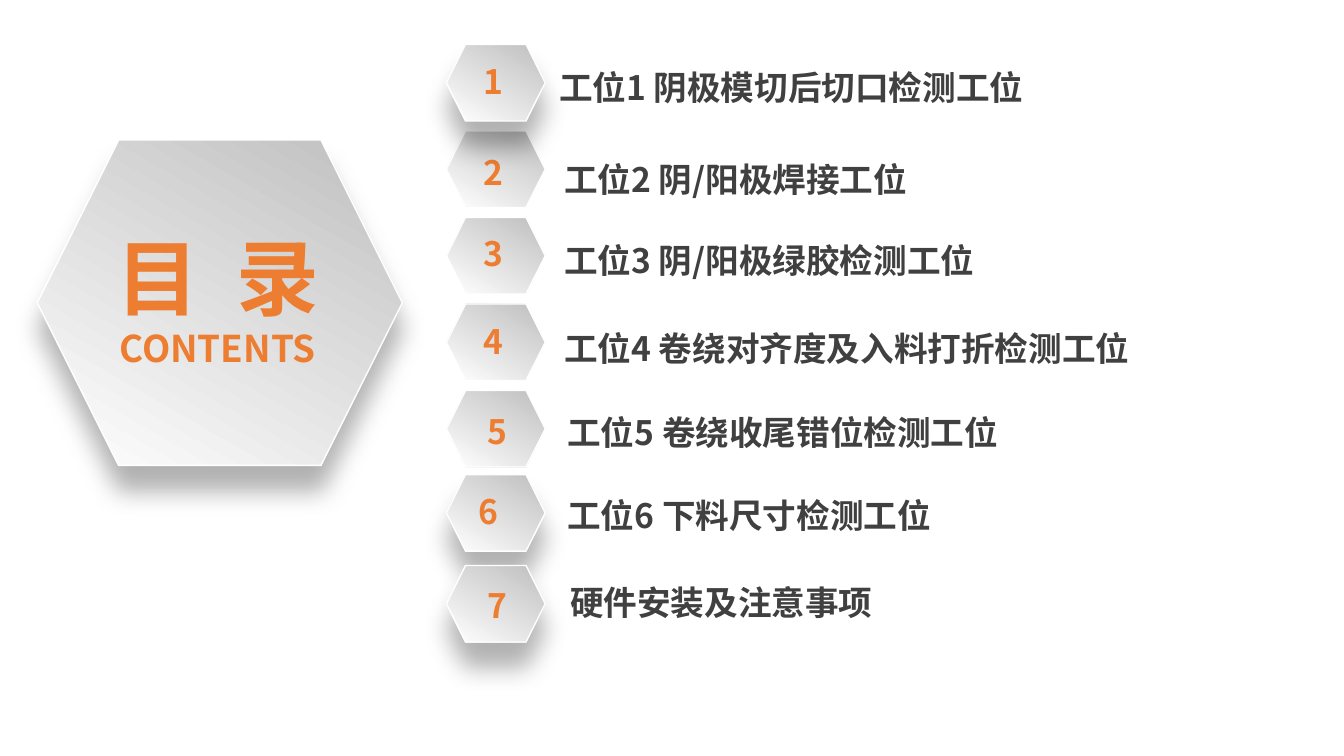
"""Build the contents slide with its seven numbered entries."""
import dataclasses

import lxml.etree
import pptx
import pptx.dml.color
import pptx.enum.shapes
import pptx.enum.text
import pptx.oxml.ns
import pptx.util

Cm = pptx.util.Cm
FONT = "Noto Sans CJK SC"
HUES = {"grey": "BFBFBF", "white": "FFFFFF", "orange": "ED7D31", "dark": "404040", "black": "000000"}


@dataclasses.dataclass
class Box:
    """Hold a place and size in centimetres."""
    left: float
    top: float
    width: float
    height: float


@dataclasses.dataclass
class Row:
    """Hold one entry: number, heights, and label."""
    num: int
    hex_top: float
    num_left: float
    num_top: float
    left: float
    top: float
    width: float
    text: str
    shade: bool = False


FIRST, PITCH = 1.12, 2.18
ROWS = [
    Row(2, FIRST + PITCH, 11.84, 3.71, 13.97, 3.89, 12.24, "工位2 阴/阳极焊接工位"),
    Row(3, FIRST + 2 * PITCH, 11.84, 5.74, 13.97, 5.92, 15.29, "工位3 阴/阳极绿胶检测工位"),
    Row(4, FIRST + 3 * PITCH, 11.84, 7.95, 13.97, 8.15, 15.98, "工位4 卷绕对齐度及入料打折检测工位"),
    Row(5, FIRST + 4 * PITCH, 11.94, 10.24, 14.05, 10.26, 12.83, "工位5 卷绕收尾错位检测工位"),
    Row(1, FIRST, 11.84, 1.42, 13.84, 1.57, 18.14, "工位1 阴极模切后切口检测工位", True),
    Row(6, 11.96, 11.73, 12.24, 14.05, 12.34, 10.82, "工位6 下料尺寸检测工位", True),
    Row(7, 14.25, 11.94, 14.61, 14.12, 14.53, 10.82, "硬件安装及注意事项", True),
]


def paint(hue: str) -> pptx.dml.color.RGBColor:
    """Return the named colour."""
    return pptx.dml.color.RGBColor.from_string(HUES[hue])


def place(box: Box) -> tuple:
    """Return the box as lengths."""
    return tuple(Cm(side) for side in dataclasses.astuple(box))


def add_tag(root, name: str, **attrs: str):
    """Append a drawing element to the root."""
    return lxml.etree.SubElement(root, pptx.oxml.ns.qn(name), attrs)


def add_hex(slide, box: Box, shade: bool) -> None:
    """Draw a shaded hexagon."""
    kind = pptx.enum.shapes.MSO_SHAPE.HEXAGON
    shape = slide.shapes.add_shape(kind, *place(box))
    shape.fill.gradient()
    shape.fill.gradient_angle = 240
    for stop, hue in zip(shape.fill.gradient_stops, ("grey", "white")):
        stop.color.rgb = paint(hue)
    shape.line.color.rgb = paint("white")
    shape.line.width = pptx.util.Pt(1)
    shape.shadow.inherit = False
    if shade:
        root = shape.element.spPr.find(pptx.oxml.ns.qn("a:effectLst"))
        blur = str(pptx.util.Pt(18))
        cast = add_tag(root, "a:outerShdw", blurRad=blur, dist=blur, dir="5400000", algn="t", rotWithShape="0")
        tone = add_tag(cast, "a:srgbClr", val=HUES["black"])
        add_tag(tone, "a:alpha", val="30000")


def style(para, size: float, hue: str, mid: bool) -> None:
    """Format a paragraph and its runs."""
    align = pptx.enum.text.PP_ALIGN
    para.alignment = align.CENTER if mid else align.LEFT
    para.line_spacing = 1.0
    for run in para.runs:
        run.font.size = pptx.util.Pt(size)
        run.font.bold = True
        run.font.name = FONT
        run.font.color.rgb = paint(hue)
        add_tag(run.font._element, "a:ea", typeface=FONT)


def add_text(slide, box: Box, text: str, hue: str, mid: bool) -> None:
    """Write a line of text in a box."""
    frame = slide.shapes.add_textbox(*place(box)).text_frame
    frame.word_wrap = True
    frame.text = text
    style(frame.paragraphs[0], 24, hue, mid)


def set_title(slide) -> None:
    """Place and format the title above its hexagon."""
    title = slide.shapes.title
    title.left, title.top, title.width, title.height = place(Box(1.88, 5.59, 7.21, 3.91))
    frame = title.text_frame
    frame.text = "目  录\nCONTENTS"
    frame.word_wrap = True
    frame.auto_size = pptx.enum.text.MSO_AUTO_SIZE.NONE
    frame.vertical_anchor = pptx.enum.text.MSO_ANCHOR.TOP
    for para, size in zip(frame.paragraphs, (59.1, 26.3)):
        style(para, size, "orange", True)
    title.element.getparent().append(title.element)


def main() -> None:
    """Build and save the slide."""
    deck = pptx.Presentation()
    deck.slide_width, deck.slide_height = Cm(33.87), Cm(19.05)
    slide = deck.slides.add_slide(deck.slide_layouts[5])
    add_hex(slide, Box(0.94, 3.53, 9.2, 8.2), True)
    set_title(slide)
    for row in ROWS:
        add_hex(slide, Box(11.25, row.hex_top, 2.49, 1.93), row.shade)
        add_text(slide, Box(row.num_left, row.num_top, 1.17, 1.27), str(row.num), "orange", True)
        add_text(slide, Box(row.left, row.top, row.width, 1.27), row.text, "dark", False)
    deck.save("out.pptx")


if __name__ == "__main__":
    main()
